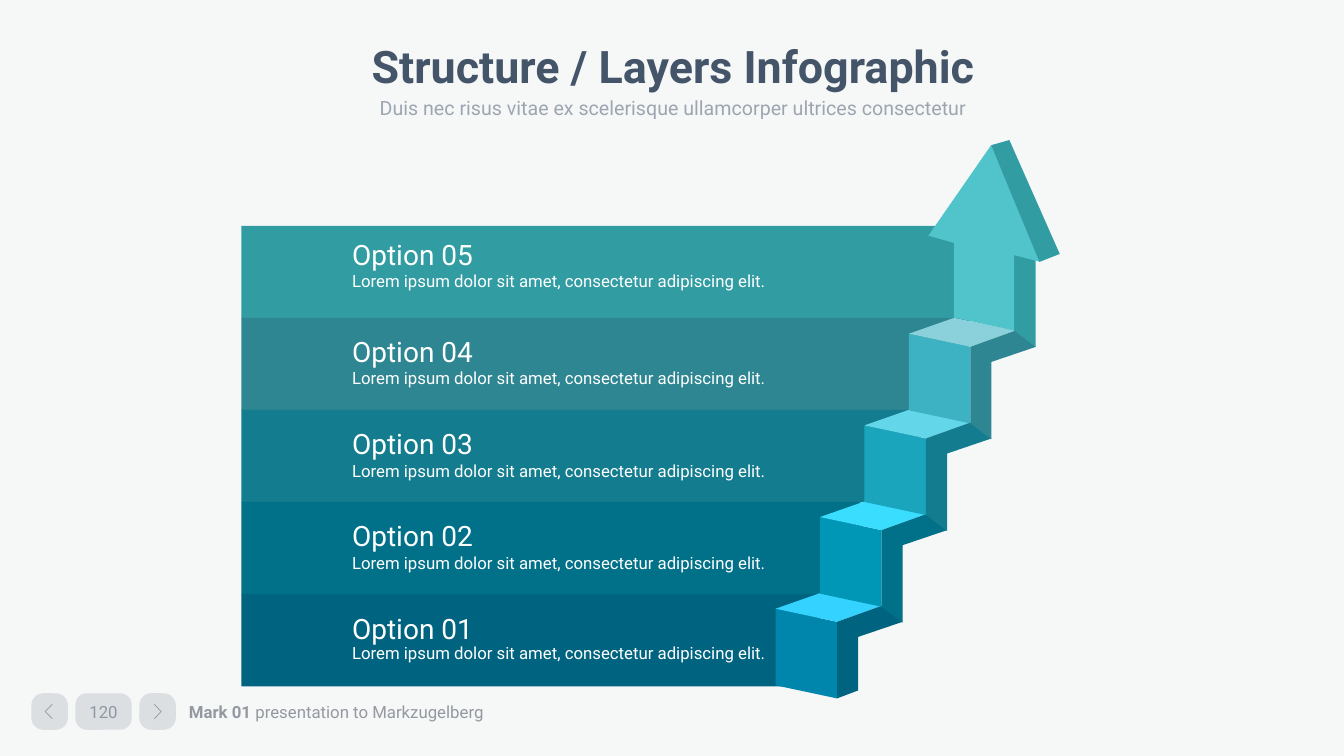
from lxml.etree import SubElement
from pptx import Presentation
from pptx.dml.color import RGBColor
from pptx.enum.shapes import MSO_SHAPE
from pptx.enum.text import MSO_ANCHOR, PP_ALIGN
from pptx.oxml.ns import qn
from pptx.util import Cm, Pt

# Content: the layers run from top to bottom, the steps from bottom to top
TITLE = "Structure / Layers Infographic"
SUBTITLE = "Duis nec risus vitae ex scelerisque ullamcorper ultrices consectetur"
FOOTER = [("Mark 01 ", True), ("presentation to Markzugelberg", False)]
PAGE = "120"
LOREM = "Lorem ipsum dolor sit amet, consectetur adipiscing elit."
# heading, width, colour, space above the text, line spacing of the description
LAYERS = [
    ("Option 05", 19.74, "329CA3", 0.29, 1.0),
    ("Option 04", 18.34, "2D8692", 0.42, 1.0),
    ("Option 03", 17.12, "137C8E", 0.43, 1.0),
    ("Option 02", 15.6, "007189", 0.42, 1.0),
    ("Option 01", 14.58, "006481", 0.43, 0.9),
]
# front, top and side colours, lowest point of the side's right edge
STEPS = [
    ("0086AC", "34D2FF", "006481", 2.06),
    ("0097B7", "3BDDFF", "007189", 2.66),
    ("1AA5BD", "63D6EA", "137C8E", 2.66),
    ("3CB2C3", "8AD1DB", "2D8692", 2.66),
]
ARROW = [
    ("329CA3", [(25.55, 8.33), (25.55, 6.43), (26.09, 6.4), (26.09, 8.74)]),
    ("51C3CA", [(26.21, 6.6), (24.97, 3.66), (23.39, 5.94), (24.03, 6.12),
                (24.03, 8.0), (25.55, 8.33), (25.55, 6.43)]),
    ("329CA3", [(26.7, 6.4), (26.19, 6.6), (24.97, 3.66), (25.43, 3.53)]),
]
# left, width and corner rounding of the navigation buttons
BUTTONS = [(0.79, 0.92, 0.327), (1.9, 1.42, 0.311), (3.51, 0.92, 0.327)]
CHEVRONS = [(1.32, 1.14), (3.89, 4.06)]

THEME = {
    "font": "Roboto", "page": "F6F8F8", "ink": "445469", "footer": "9499A1",
    "white": "FFFFFF", "title": 32, "subtitle": 14, "heading": 20, "small": 12,
}

# Geometry in centimetres
SLIDE_W, SLIDE_H = 33.86, 19.05
LAYER_LEFT, LAYER_TOP, LAYER_PITCH, LAYER_H = 6.08, 5.69, 2.32, 2.33
STEP_X, STEP_Y, STEP_DX, STEP_DY = 19.54, 15.34, 1.12, -2.31
FRONT = [(0, 0), (1.55, 0.33), (1.55, 2.26), (0, 1.93)]
TOP = [(1.14, -0.4), (0, 0), (1.55, 0.33), (2.69, -0.08)]
SIDE = [(1.55, 2.26), (1.55, 0.33), (2.69, -0.08), (3.2, 0.33), (2.08, 0.71)]
NAV_TOP, NAV_H, NAV_MIDDLE, CHEVRON_H = 17.47, 0.92, 17.93, 0.18
CURVE = [(19.99, 17.84), (23.14, 10.82), (25.96, 8.56), (24.66, 2.49)]

deck = Presentation()
deck.slide_width, deck.slide_height = Cm(SLIDE_W), Cm(SLIDE_H)
slide = deck.slides.add_slide(deck.slide_layouts[6])
slide.background.fill.solid()
slide.background.fill.fore_color.rgb = RGBColor.from_string(THEME["page"])


def apply(target, values):
    for name, value in values.items():
        setattr(target, name, value)


def fade(element, percent):
    for colour in element.iter(qn("a:srgbClr")):
        SubElement(colour, qn("a:alpha"), val=str(percent * 1000))


def paint(shape, colour):
    shape.shadow.inherit = False
    shape.fill.solid()
    shape.fill.fore_color.rgb = RGBColor.from_string(colour)
    shape.line.fill.background()
    return shape


def write(paragraph, text, size, colour, bold=False, opacity=100):
    run = paragraph.add_run()
    apply(run, {"text": text})
    apply(run.font, {"name": THEME["font"], "size": Pt(size), "bold": bold})
    run.font.color.rgb = RGBColor.from_string(colour)
    if opacity < 100:
        fade(run._r, opacity)


def label(left, top, width, height, align, **frame_values):
    frame = slide.shapes.add_textbox(Cm(left), Cm(top), Cm(width), Cm(height)).text_frame
    apply(frame, {"word_wrap": True, **frame_values})
    frame.paragraphs[0].alignment = align
    return frame.paragraphs[0]


def outline(points, closed=True):
    corners = [(Cm(x), Cm(y)) for x, y in points]
    builder = slide.shapes.build_freeform(*corners[0], scale=1.0)
    builder.add_line_segments(corners[1:], close=closed)
    return builder.convert_to_shape()


def bezier(controls, parts=32):
    for part in range(parts + 1):
        t = part / parts
        weights = ((1 - t) ** 3, 3 * t * (1 - t) ** 2, 3 * t * t * (1 - t), t ** 3)
        yield tuple(sum(w * c[axis] for w, c in zip(weights, controls)) for axis in (0, 1))


# Footer and navigation
credit = label(4.43, 17.5, 9.32, 0.86, PP_ALIGN.LEFT, vertical_anchor=MSO_ANCHOR.MIDDLE,
               margin_left=Cm(0.33), margin_right=Cm(0.33))
for words, bold in FOOTER:
    write(credit, words, THEME["small"], THEME["footer"], bold)
page_left, page_width, _ = BUTTONS[1]
number = label(page_left, NAV_TOP, page_width, NAV_H, PP_ALIGN.CENTER,
               vertical_anchor=MSO_ANCHOR.MIDDLE, margin_left=0, margin_right=0)
write(number, PAGE, THEME["small"], THEME["ink"], opacity=50)

for left, width, rounding in BUTTONS:
    button = paint(slide.shapes.add_shape(
        MSO_SHAPE.ROUNDED_RECTANGLE, Cm(left), Cm(NAV_TOP), Cm(width), Cm(NAV_H)), THEME["ink"])
    button.adjustments[0] = rounding
    fade(button._element.spPr, 15)

for outer, tip in CHEVRONS:
    chevron = outline([(outer, NAV_MIDDLE - CHEVRON_H), (tip, NAV_MIDDLE),
                       (outer, NAV_MIDDLE + CHEVRON_H)], closed=False)
    chevron.shadow.inherit = False
    chevron.fill.background()
    chevron.line.width = Pt(0.5)
    chevron.line.color.rgb = RGBColor.from_string(THEME["ink"])
    fade(chevron._element.spPr, 50)

# Layers
for row, (heading, width, colour, space_above, spacing) in enumerate(LAYERS):
    layer = paint(slide.shapes.add_shape(
        MSO_SHAPE.RECTANGLE, Cm(LAYER_LEFT), Cm(LAYER_TOP + row * LAYER_PITCH),
        Cm(width), Cm(LAYER_H)), colour)
    frame = layer.text_frame
    apply(frame, {"word_wrap": True, "vertical_anchor": MSO_ANCHOR.TOP,
                  "margin_left": Cm(2.79), "margin_top": Cm(space_above),
                  "margin_bottom": Cm(0.13)})
    name, description = frame.paragraphs[0], frame.add_paragraph()
    apply(name, {"alignment": PP_ALIGN.LEFT})
    apply(description, {"alignment": PP_ALIGN.LEFT, "line_spacing": spacing})
    write(name, heading, THEME["heading"], THEME["white"])
    write(description, LOREM, THEME["small"], THEME["white"])

# Curved edge that trims the layers behind the stairs
right_edge = [(SLIDE_W, CURVE[-1][1]), (SLIDE_W, CURVE[0][1])]
paint(outline([*bezier(CURVE), *right_edge]), THEME["page"])

# Stairs
for index, (front, top, side, side_end) in enumerate(STEPS):
    x0, y0 = STEP_X + index * STEP_DX, STEP_Y + index * STEP_DY
    faces = [(front, FRONT), (top, TOP), (side, SIDE + [(2.08, side_end)])]
    for colour, corners in faces:
        paint(outline([(x0 + x, y0 + y) for x, y in corners]), colour)

# Arrow
for colour, corners in ARROW:
    paint(outline(corners), colour)

# Heading
title = label(2.36, 0.94, 29.21, 1.42, PP_ALIGN.CENTER, margin_top=Cm(0.03))
write(title, TITLE, THEME["title"], THEME["ink"], bold=True)
subtitle = label(4.97, 2.14, 23.98, 1.07, PP_ALIGN.CENTER, margin_top=Cm(0.28))
write(subtitle, SUBTITLE, THEME["subtitle"], THEME["ink"], opacity=50)

deck.save("out.pptx")
